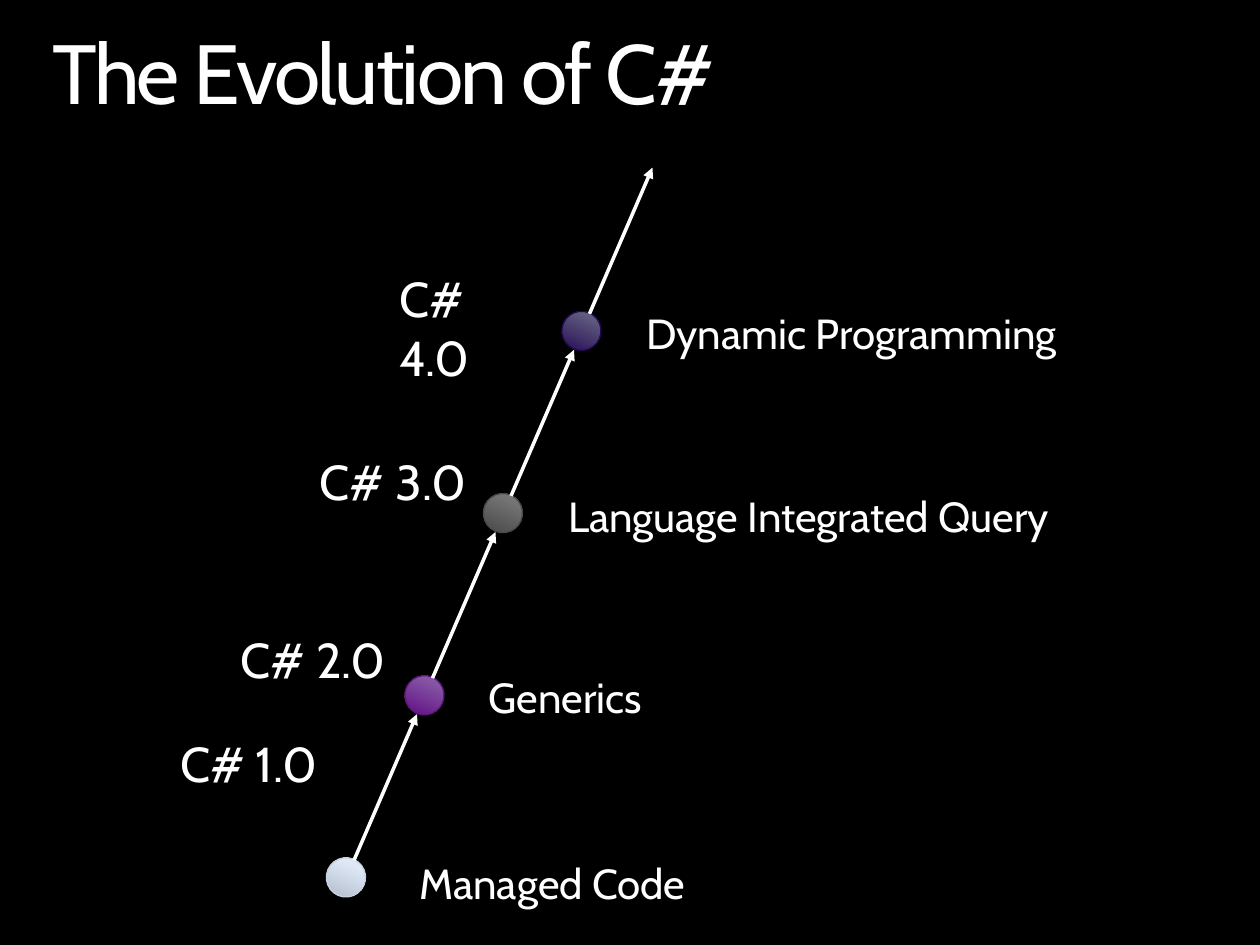
from copy import deepcopy
from pptx import Presentation
from pptx.dml.color import RGBColor
from pptx.enum import shapes, text
from pptx.oxml.ns import qn
from pptx.util import Pt
from lxml import etree

BLACK = RGBColor(0, 0, 0)
WHITE = RGBColor(255, 255, 255)
FONT = "Cabin"
TITLE = "The Evolution of C#"

MILESTONES = [
    {"version": ("C# 1.0", 95.8, 415.4, 98.6), "feature": ("Managed Code", 232.6, 486.7, 199.4),
     "shades": ("ABB5C4", "DEE8F7", "E1EAFA"), "edge": "C9D1DD"},
    {"version": ("C# 2.0", 130.3, 356.4, 98.6), "feature": ("Generics", 272.2, 380.2, 123.8),
     "shades": ("5A007E", "8555A4", "9974B4"), "edge": "5E167B"},
    {"version": ("C# 3.0", 175.7, 254.2, 98.6), "feature": ("Language Integrated Query", 317.5, 276.5, 301),
     "shades": ("413F40", "757474", "8E8D8D"), "edge": "4A494A"},
    {"version": ("C# 4.0", 221, 149.8, 86.4), "feature": ("Dynamic Programming", 362.2, 172.1, 252),
     "shades": ("1C004D", "5F597E", "7E7A95"), "edge": "220751"},
]
STOPS = (0, 0.72, 1)
DOT_SIZE = 22.4
DOT_START = (186.5, 490.2)
DOT_STEP = (44.85, -104.1)
ARROW_OFFSET = (15.8, 1.4)
ARROW_SPAN = (36, -83.5)


def add_label(page, words, left, top, width, height, size, inset=(7.2, 3.6)):
    box = page.shapes.add_textbox(Pt(left), Pt(top), Pt(width), Pt(height))
    frame = box.text_frame
    frame.word_wrap = True
    frame.auto_size = text.MSO_AUTO_SIZE.SHAPE_TO_FIT_TEXT
    frame.margin_left = frame.margin_right = Pt(inset[0])
    frame.margin_top = frame.margin_bottom = Pt(inset[1])
    para = frame.paragraphs[0]
    span = para.add_run()
    span.text = words
    span.font.name = FONT
    span.font.size = Pt(size)
    span.font.color.rgb = WHITE
    return para, span


def add_dot(page, left, top, shades, edge):
    dot = page.shapes.add_shape(shapes.MSO_SHAPE.OVAL, Pt(left), Pt(top), Pt(DOT_SIZE), Pt(DOT_SIZE))
    dot.rotation = 23.2
    dot.shadow.inherit = False
    dot.fill.gradient()
    dot.fill.gradient_angle = 90
    stop_list = next(dot._element.iter(qn("a:gsLst")))
    stop_list.append(deepcopy(stop_list[0]))
    for stop, position, shade in zip(dot.fill.gradient_stops, STOPS, shades):
        stop.position = position
        stop.color.rgb = RGBColor.from_string(shade)
    dot.line.color.rgb = RGBColor.from_string(edge)
    dot.line.width = Pt(0.75)


def add_arrow(page, left, top):
    arrow = page.shapes.add_connector(
        shapes.MSO_CONNECTOR.STRAIGHT, Pt(left), Pt(top),
        Pt(left + ARROW_SPAN[0]), Pt(top + ARROW_SPAN[1]))
    arrow.line.color.rgb = WHITE
    arrow.line.width = Pt(2)
    etree.SubElement(arrow.line._get_or_add_ln(), qn("a:tailEnd"), type="triangle")
    etree.SubElement(arrow._element.spPr, qn("a:effectLst"))


deck = Presentation()
deck.slide_width, deck.slide_height = Pt(720), Pt(540)
page = deck.slides.add_slide(deck.slide_layouts[6])
page.background.fill.solid()
page.background.fill.fore_color.rgb = BLACK

para, span = add_label(page, TITLE, 30, 18, 660, 52.4, 48, (0, 0))
para.line_spacing = 0.9
span.font._element.set("spc", "-150")

for index, milestone in enumerate(MILESTONES):
    left, top = (start + index * step for start, step in zip(DOT_START, DOT_STEP))
    add_dot(page, left, top, milestone["shades"], milestone["edge"])
    add_arrow(page, left + ARROW_OFFSET[0], top + ARROW_OFFSET[1])
    add_label(page, *milestone["version"], 41.4, 28)
    add_label(page, *milestone["feature"], 36.4, 24)

deck.save("out.pptx")
